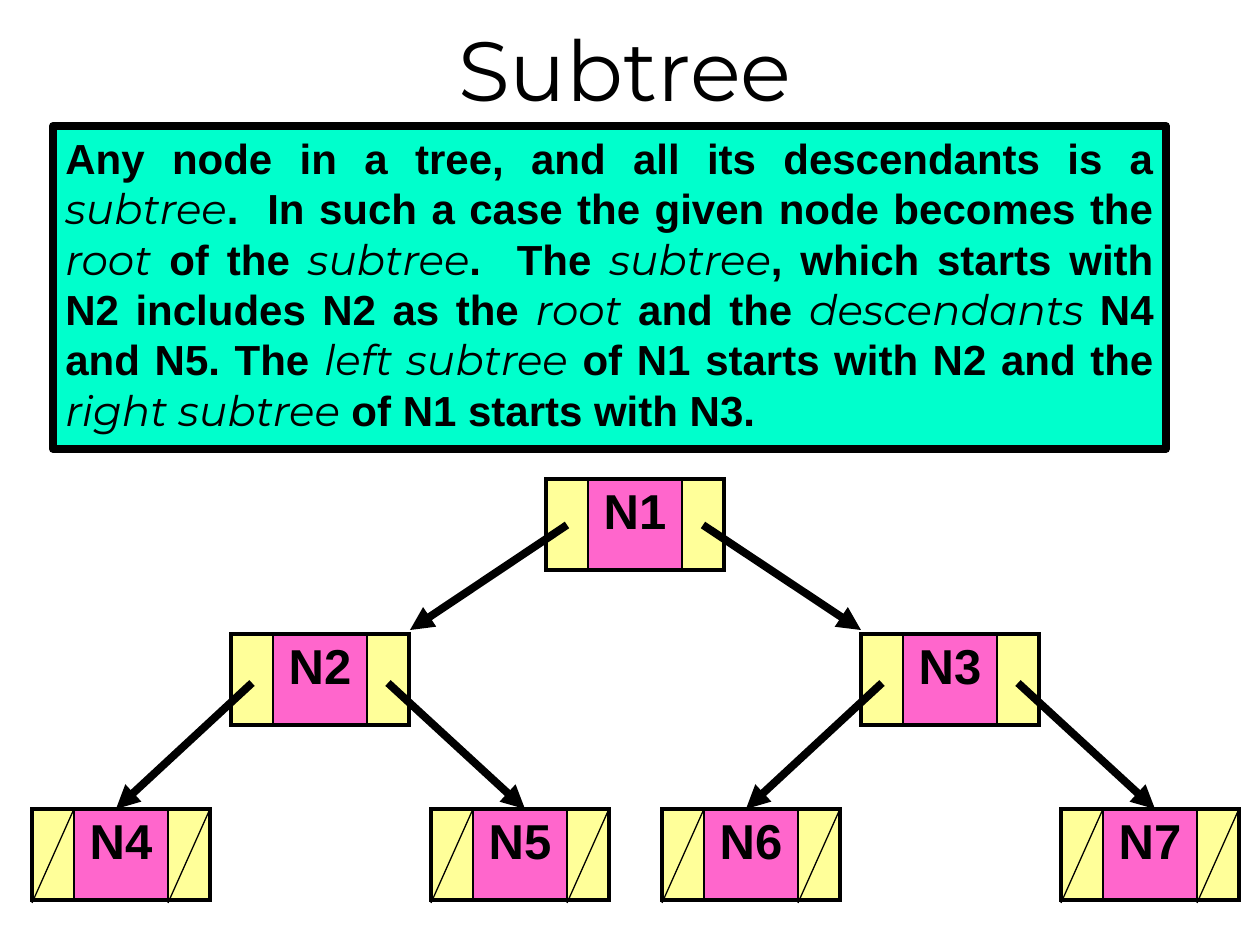
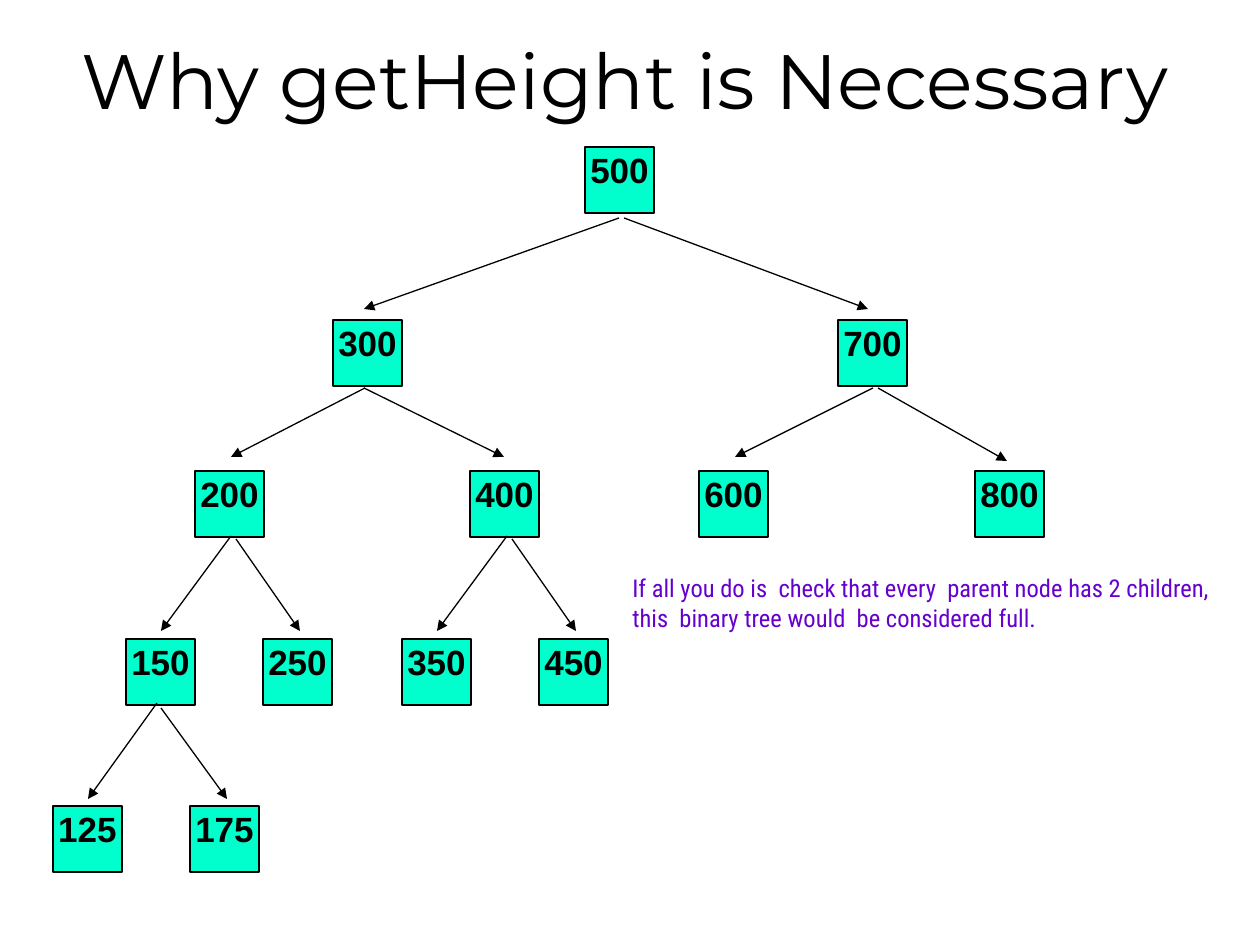
from lxml import etree
from pptx import Presentation
from pptx.dml.color import RGBColor
from pptx.enum.shapes import MSO_CONNECTOR, MSO_SHAPE
from pptx.enum.text import MSO_ANCHOR, MSO_AUTO_SIZE, PP_ALIGN
from pptx.oxml.ns import qn
from pptx.util import Emu, Inches, Pt

STRAIGHT = MSO_CONNECTOR.STRAIGHT
RECTANGLE = MSO_SHAPE.RECTANGLE
TOP, MIDDLE = MSO_ANCHOR.TOP, MSO_ANCHOR.MIDDLE
CENTER, JUSTIFY, LEFT = PP_ALIGN.CENTER, PP_ALIGN.JUSTIFY, PP_ALIGN.LEFT
FIXED, GROW = MSO_AUTO_SIZE.NONE, MSO_AUTO_SIZE.SHAPE_TO_FIT_TEXT

PX_PER_INCH = 126
TITLE_ONLY = 5
TITLE_FONT, BODY_FONT, NOTE_FONT = "Montserrat", "Arial", "Roboto Condensed"
COLORS = {
    "ink": "000000",
    "mint": "00FFCC",
    "pointer": "FFFF99",
    "data": "FF66CC",
    "note": "6600CC",
}

# Asterisks enclose the emphasised terms.
DEFINITION = (
    "Any node in a tree, and all its descendants is a *subtree*.  In such a case "
    "the given node becomes the *root* of the *subtree*.  The *subtree*, which "
    "starts with N2 includes N2 as the *root* and the *descendants* N4 and N5. "
    "The *left subtree* of N1 starts with N2 and the *right subtree* of N1 starts "
    "with N3."
)
NOTE = (
    "If all you do is  check that every  parent node has 2 children, "
    "this  binary tree would  be considered full."
)

POINTER_WIDTH, DATA_WIDTH, RECORD_HEIGHT = 42, 94, 91
RECORDS = {
    "N1": (546, 479),
    "N2": (231, 634),
    "N3": (861, 634),
    "N4": (32, 809),
    "N5": (431, 809),
    "N6": (662, 809),
    "N7": (1061, 809),
}
LEAVES = ("N4", "N5", "N6", "N7")
# Parent record, drop below its top, arrow tips of the left and right pointers
RECORD_LINKS = [
    ("N1", 46, (410, 630), (861, 630)),
    ("N2", 49, (116, 809), (525, 809)),
    ("N3", 49, (746, 809), (1155, 809)),
]

NODE_WIDTH, NODE_HEIGHT = 69, 66
NODE_LEVELS = [
    (147, {"500": 585}),
    (320, {"300": 333, "700": 838}),
    (471, {"200": 195, "400": 470, "600": 699, "800": 975}),
    (639, {"150": 126, "250": 263, "350": 402, "450": 539}),
    (806, {"125": 53, "175": 190}),
]
NODE_LINKS = [
    ((619, 218), (364, 309)),
    ((624, 218), (868, 309)),
    ((365, 388), (231, 457)),
    ((364, 388), (504, 457)),
    ((873, 388), (735, 457)),
    ((878, 388), (1007, 461)),
    ((507, 536), (437, 631)),
    ((512, 539), (576, 631)),
    ((231, 536), (161, 631)),
    ((236, 539), (300, 631)),
    ((157, 703), (88, 799)),
    ((161, 708), (227, 799)),
]


def px(*lengths):
    return [Emu(round(length * 914400 / PX_PER_INCH)) for length in lengths]


def color(name):
    return RGBColor.from_string(COLORS[name])


def style_font(font, name, size, bold=False, ink="ink"):
    font.name, font.size, font.bold = name, Pt(size), bold
    font.color.rgb = color(ink)


def add_titled_slide(deck, text, height, size):
    page = deck.slides.add_slide(deck.slide_layouts[TITLE_ONLY])
    title = page.shapes.title
    title.left, title.top, title.width, title.height = px(0, 0, 1250, height)
    frame = title.text_frame
    frame.text = text
    frame.auto_size, frame.vertical_anchor = FIXED, MIDDLE
    para = frame.paragraphs[0]
    para.alignment = CENTER
    style_font(para.font, TITLE_FONT, size)
    return page


def add_mint_box(page, left, top, width, height, line_width):
    box = page.shapes.add_shape(RECTANGLE, *px(left, top, width, height))
    box.shadow.inherit = False
    box.fill.solid()
    box.fill.fore_color.rgb = color("mint")
    box.line.color.rgb = color("ink")
    box.line.width = Pt(line_width)
    box.text_frame.word_wrap = True
    box.text_frame.vertical_anchor = TOP
    return box


def add_definition(page):
    frame = add_mint_box(page, 53, 126, 1113, 323, 4.5).text_frame
    frame.auto_size = GROW
    para = frame.paragraphs[0]
    para.alignment = JUSTIFY
    for index, part in enumerate(DEFINITION.split("*")):
        emphasised = index % 2 == 1
        span = para.add_run()
        span.text = part
        style_font(span.font, TITLE_FONT if emphasised else BODY_FONT, 24, not emphasised)
        span.font.italic = emphasised


def add_node(page, label, left, top):
    frame = add_mint_box(page, left, top, NODE_WIDTH, NODE_HEIGHT, 1).text_frame
    frame.margin_left = frame.margin_right = Inches(0.01)
    frame.margin_top = frame.margin_bottom = Inches(0.01)
    frame.text = label
    para = frame.paragraphs[0]
    para.alignment = CENTER
    style_font(para.font, BODY_FONT, 20, bold=True)


def add_line(page, start, end, width=0.75, arrow=False):
    line = page.shapes.add_connector(STRAIGHT, *px(*start, *end))
    line.line.color.rgb = color("ink")
    line.line.width = Pt(width)
    if arrow:
        etree.SubElement(line.line._get_or_add_ln(), qn("a:tailEnd"), type="triangle")
    etree.SubElement(line._element.spPr, qn("a:effectLst"))


def set_borders(cell, **widths):
    """Give the sides L, R, T and B, in that order, their widths in points."""
    properties = cell._tc.get_or_add_tcPr()
    for index, (side, width) in enumerate(widths.items()):
        border = etree.Element(qn(f"a:ln{side}"), w=str(Pt(width)))
        fill = etree.SubElement(border, qn("a:solidFill"))
        etree.SubElement(fill, qn("a:srgbClr"), val=COLORS["ink"])
        properties.insert(index, border)


def add_record(page, label, left, top):
    """Draw a tree node as a left pointer, a data field and a right pointer."""
    widths = (POINTER_WIDTH, DATA_WIDTH, POINTER_WIDTH)
    frame = page.shapes.add_table(1, 3, *px(left, top, sum(widths), RECORD_HEIGHT))
    table = frame.table
    table.first_row = table.horz_banding = False
    table.rows[0].height = px(RECORD_HEIGHT)[0]
    for index, fill in enumerate(("pointer", "data", "pointer")):
        table.columns[index].width = px(widths[index])[0]
        cell = table.cell(0, index)
        cell.fill.solid()
        cell.fill.fore_color.rgb = color(fill)
        set_borders(cell, L=2.25 if index == 0 else 1, R=2.25 if index == 2 else 1,
                    T=2.25, B=2.25)
    data = table.cell(0, 1)
    data.text = label
    para = data.text_frame.paragraphs[0]
    para.alignment = CENTER
    style_font(para.font, BODY_FONT, 28, bold=True)


def add_null_slashes(page, left, top):
    for pointer_left in (left, left + POINTER_WIDTH + DATA_WIDTH):
        add_line(page, (pointer_left + POINTER_WIDTH, top), (pointer_left, top + 94))


def add_note(page):
    box = page.shapes.add_textbox(*px(620, 567, 620, 347))
    frame = box.text_frame
    frame.word_wrap = True
    frame.text = NOTE
    para = frame.paragraphs[0]
    para.alignment = LEFT
    style_font(para.font, NOTE_FONT, 14, ink="note")


def build_subtree_slide(deck):
    page = add_titled_slide(deck, "Subtree", 136, 48)
    add_definition(page)
    for label, (left, top) in RECORDS.items():
        add_record(page, label, left, top)
    for parent, drop, left_tip, right_tip in RECORD_LINKS:
        left, top = RECORDS[parent]
        left_pointer = left + POINTER_WIDTH // 2
        right_pointer = left_pointer + POINTER_WIDTH + DATA_WIDTH
        add_line(page, (left_pointer, top + drop), left_tip, 4.5, arrow=True)
        add_line(page, (right_pointer, top + drop), right_tip, 4.5, arrow=True)
    for leaf in LEAVES:
        add_null_slashes(page, *RECORDS[leaf])


def build_height_slide(deck):
    page = add_titled_slide(deck, "Why getHeight is Necessary", 158, 44)
    for top, nodes in NODE_LEVELS:
        for label, left in nodes.items():
            add_node(page, label, left, top)
    for start, end in NODE_LINKS:
        add_line(page, start, end, arrow=True)
    add_note(page)


def main():
    deck = Presentation()
    deck.slide_width, deck.slide_height = px(1260, 945)
    build_subtree_slide(deck)
    build_height_slide(deck)
    deck.save("out.pptx")


if __name__ == "__main__":
    main()
